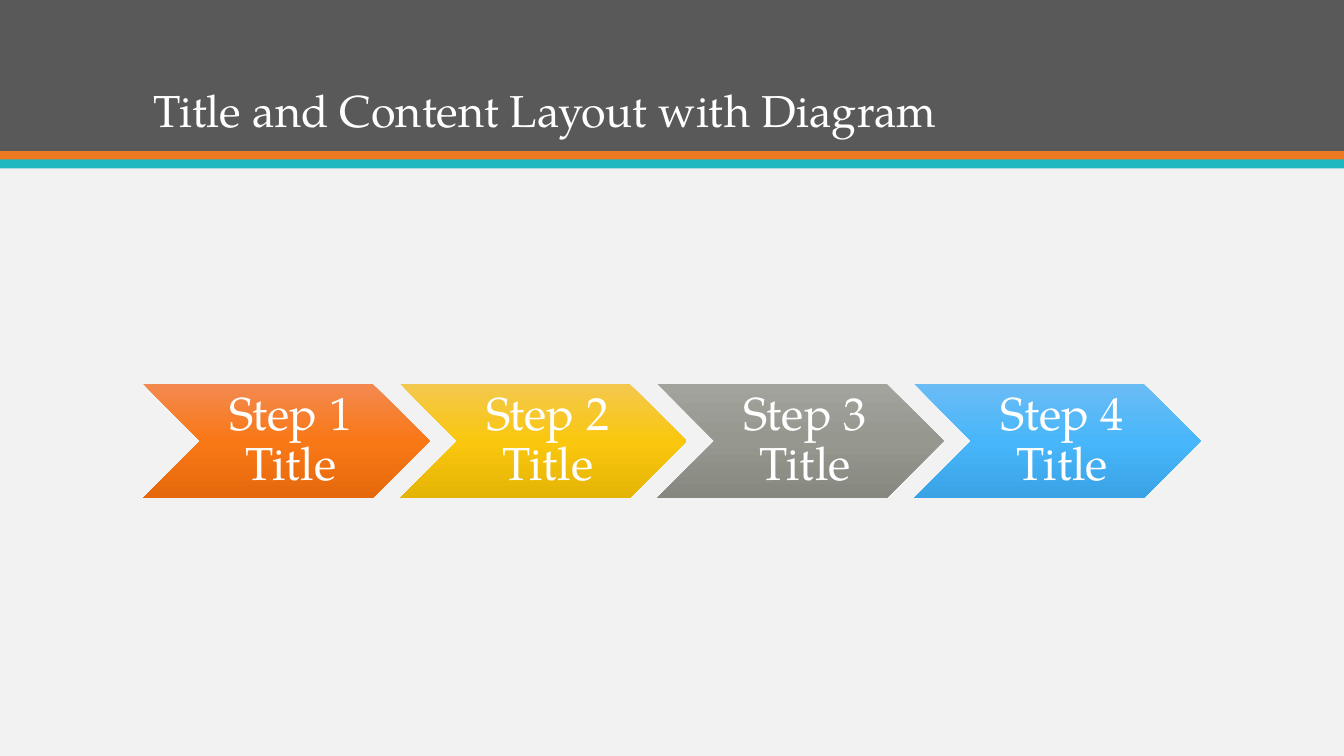
import copy

from pptx import Presentation
from pptx.dml.color import RGBColor
from pptx.enum.shapes import MSO_SHAPE
from pptx.enum.text import MSO_ANCHOR, PP_ALIGN
from pptx.oxml.ns import qn
from pptx.util import Inches, Pt

FONT = "TeX Gyre Pagella"
WHITE = RGBColor(0xFF, 0xFF, 0xFF)
PALE = RGBColor(0xF2, 0xF2, 0xF2)
DARK = RGBColor(0x59, 0x59, 0x59)
ORANGE = RGBColor(0xEF, 0x79, 0x20)
TEAL = RGBColor(0x1E, 0xB8, 0xC1)

# Top, middle and bottom colour of each step
STEP_COLORS = [
    (RGBColor(0xF3, 0x89, 0x50), RGBColor(0xF9, 0x78, 0x16), RGBColor(0xE5, 0x69, 0x0C)),
    (RGBColor(0xF3, 0xC8, 0x4E), RGBColor(0xFA, 0xC7, 0x0E), RGBColor(0xE5, 0xB5, 0x06)),
    (RGBColor(0xA2, 0xA3, 0x9C), RGBColor(0x96, 0x98, 0x90), RGBColor(0x86, 0x88, 0x7F)),
    (RGBColor(0x6A, 0xBC, 0xF5), RGBColor(0x48, 0xB6, 0xFA), RGBColor(0x39, 0xA3, 0xE5)),
]


def write(tf, content, size, anchor, align):
    tf.text = content
    tf.word_wrap = True
    tf.vertical_anchor = anchor
    p = tf.paragraphs[0]
    p.alignment = align
    p.line_spacing = 0.9
    font = p.runs[0].font
    font.name = FONT
    font.size = Pt(size)
    font.color.rgb = WHITE


prs = Presentation()
prs.slide_width = Inches(13.33)
prs.slide_height = Inches(7.5)
s = prs.slides.add_slide(prs.slide_layouts[6])
s.background.fill.solid()
s.background.fill.fore_color.rgb = PALE

# Header band with two stripes
for top, height, color in [(0, 1.5, DARK), (1.5, 0.09, ORANGE), (1.58, 0.09, TEAL)]:
    sp = s.shapes.add_shape(MSO_SHAPE.RECTANGLE, 0, Inches(top), prs.slide_width, Inches(height))
    sp.shadow.inherit = False
    sp.fill.solid()
    sp.fill.fore_color.rgb = color
    sp.line.fill.background()

# Title
title = s.shapes.add_textbox(Inches(1.42), Inches(0.28), Inches(10.5), Inches(1.13))
write(title.text_frame, "Title and Content Layout with Diagram", 32,
      MSO_ANCHOR.BOTTOM, PP_ALIGN.LEFT)

# Chevron steps
for i, colors in enumerate(STEP_COLORS):
    sp = s.shapes.add_shape(MSO_SHAPE.CHEVRON, Inches(1.42 + 2.55 * i), Inches(3.81),
                            Inches(2.84), Inches(1.13))
    sp.shadow.inherit = False
    sp.line.fill.background()

    # Vertical gradient with a third stop
    sp.fill.gradient()
    sp.fill.gradient_angle = 270
    stop_list = next(sp._element.iter(qn("a:gsLst")))
    stop_list.append(copy.deepcopy(stop_list[-1]))
    for stop, position, color in zip(sp.fill.gradient_stops, (0, 0.5, 1), colors):
        stop.position = position
        stop.color.rgb = color

    tf = sp.text_frame
    tf.margin_left = Inches(0.14)
    tf.margin_right = tf.margin_top = tf.margin_bottom = Inches(0.05)
    write(tf, f"Step {i + 1} Title", 33, MSO_ANCHOR.MIDDLE, PP_ALIGN.CENTER)

prs.save("out.pptx")
